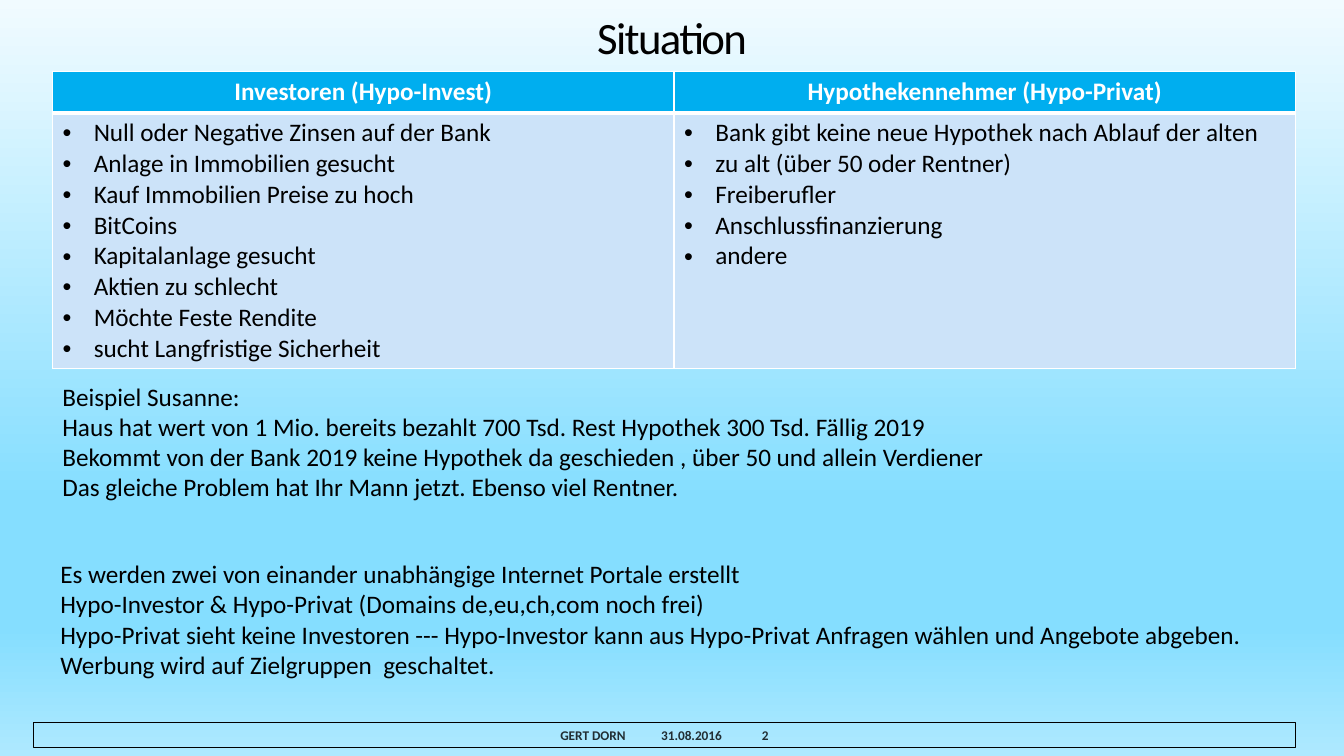
from copy import deepcopy

from lxml.etree import SubElement
from pptx import Presentation
from pptx.dml.color import RGBColor
from pptx.enum.shapes import MSO_SHAPE as Preset
from pptx.enum.text import MSO_ANCHOR as Anchor, PP_ALIGN as Align
from pptx.oxml import parse_xml
from pptx.oxml.ns import nsdecls, qn
from pptx.util import Inches, Pt

COLORS = {
    "text": "000000", "header": "00AEEF", "body": "CCE3F9", "white": "FFFFFF",
    "sky_top": "F1FBFF", "sky": "85DEFF", "sky_end": "AEE9FF",
}
SKY_STOPS = [(0, "sky_top"), (0.66, "sky"), (0.83, "sky"), (1, "sky_end")]
BULLET_INDENT = Inches(0.31)


def rgb(name):
    """Return the palette colour of that name."""
    return RGBColor.from_string(COLORS[name])


class Deck:
    """Holds the style and the current slide."""

    font = {"name": "Calibri", "size": Pt(18), "bold": False}

    def __init__(self, slide):
        """Remember the slide to draw on."""
        self.slide = slide

    def background(self, stops):
        """Fill the background with a gradient running downwards."""
        fill = self.slide.background.fill
        fill.gradient()
        fill.gradient_angle = 270
        stop_list = self.slide.element.find(".//" + qn("a:gsLst"))
        for _ in range(len(stops) - len(stop_list)):
            stop_list.append(deepcopy(stop_list[0]))
        for stop, (position, color) in zip(fill.gradient_stops, stops):
            stop.position = position
            stop.color.rgb = rgb(color)

    def paragraphs(self, frame, lines, color="text", layout=None, **font):
        """Set one paragraph per line and return the paragraphs."""
        frame.word_wrap = True
        for index, line in enumerate(lines):
            paragraph = frame.paragraphs[0] if index == 0 else frame.add_paragraph()
            for key, value in (layout or {}).items():
                setattr(paragraph, key, value)
            run = paragraph.add_run()
            run.text = line
            for key, value in {**self.font, **font}.items():
                setattr(run.font, key, value)
            run.font.color.rgb = rgb(color)
        return frame.paragraphs

    def text(self, box, lines, anchor=Anchor.TOP, **style):
        """Add a text box and return its paragraphs."""
        frame = self.slide.shapes.add_textbox(*map(Inches, box)).text_frame
        frame.vertical_anchor = anchor
        return self.paragraphs(frame, lines, **style)

    def frame(self, box, line, **style):
        """Add an outlined rectangle with one line of text."""
        shape = self.slide.shapes.add_shape(Preset.RECTANGLE, *map(Inches, box))
        shape.shadow.inherit = False
        shape.fill.background()
        shape.line.color.rgb = rgb("text")
        shape.line.width = Pt(0.75)
        shape.text_frame.vertical_anchor = Anchor.MIDDLE
        return self.paragraphs(shape.text_frame, [line], **style)

    def cell(self, cell, fill, borders):
        """Fill a cell and draw its white borders, given in points."""
        cell.fill.solid()
        cell.fill.fore_color.rgb = rgb(fill)
        for index, (side, width) in enumerate(borders.items()):
            cell._tc.tcPr.insert(index, parse_xml(
                f'<a:ln{side} {nsdecls("a")} w="{Pt(width)}"><a:solidFill>'
                f'<a:srgbClr val="{COLORS["white"]}"/></a:solidFill></a:ln{side}>'))

    def table(self, box, row_heights, columns):
        """Add a table with a heading and a bulleted list per column."""
        table = self.slide.shapes.add_table(
            len(row_heights), len(columns), *map(Inches, box)).table
        for row, height in zip(table.rows, row_heights):
            row.height = Inches(height)
        for index, (heading, points) in enumerate(columns.items()):
            header, body = table.cell(0, index), table.cell(1, index)
            self.cell(header, "header", {"L": 1, "R": 1, "T": 1, "B": 3})
            self.paragraphs(header.text_frame, [heading], "white",
                            {"alignment": Align.CENTER}, bold=True)
            self.cell(body, "body", {"L": 1, "R": 1, "T": 3, "B": 1})
            for paragraph in self.paragraphs(body.text_frame, points):
                bullet(paragraph)


def bullet(paragraph):
    """Give a paragraph a round bullet with a hanging indent."""
    properties = paragraph._p.get_or_add_pPr()
    properties.set("marL", str(BULLET_INDENT))
    properties.set("indent", str(-BULLET_INDENT))
    SubElement(properties, qn("a:buFont")).set("typeface", "Arial")
    SubElement(properties, qn("a:buChar")).set("char", "•")


GROUPS = {
    "Investoren (Hypo-Invest)": [
        "Null oder Negative Zinsen auf der Bank",
        "Anlage in Immobilien gesucht",
        "Kauf Immobilien Preise zu hoch",
        "BitCoins",
        "Kapitalanlage gesucht",
        "Aktien zu schlecht",
        "Möchte Feste Rendite",
        "sucht Langfristige Sicherheit",
    ],
    "Hypothekennehmer (Hypo-Privat)": [
        "Bank gibt keine neue Hypothek nach Ablauf der alten",
        "zu alt (über 50 oder Rentner)",
        "Freiberufler",
        "Anschlussfinanzierung",
        "andere",
    ],
}
EXAMPLE = [
    "Beispiel Susanne:",
    "Haus hat wert von 1 Mio. bereits bezahlt 700 Tsd. Rest Hypothek 300 Tsd. Fällig 2019",
    "Bekommt von der Bank 2019 keine Hypothek da geschieden , über 50 und allein Verdiener",
    "Das gleiche Problem hat Ihr Mann jetzt. Ebenso viel Rentner.",
]
PORTALS = [
    "Es werden zwei von einander unabhängige Internet Portale erstellt",
    "Hypo-Investor & Hypo-Privat (Domains de,eu,ch,com noch frei)",
    "Hypo-Privat sieht keine Investoren --- Hypo-Investor kann aus Hypo-Privat "
    "Anfragen wählen und Angebote abgeben.",
    "Werbung wird auf Zielgruppen  geschaltet.",
]

presentation = Presentation()
presentation.slide_width = Inches(13.33)
presentation.slide_height = Inches(7.5)
deck = Deck(presentation.slides.add_slide(presentation.slide_layouts[6]))

deck.background(SKY_STOPS)
title = deck.text((0, 0.01, 13.33, 0.67), ["Situation"], Anchor.BOTTOM,
                  layout={"alignment": Align.CENTER, "line_spacing": 0.85},
                  size=Pt(32))
title[0].runs[0].font._element.set("spc", "-120")

footer = deck.frame((0.33, 7.17, 12.52, 0.25), "GERT DORN\t31.08.2016\t2",
                    layout={"alignment": Align.CENTER}, size=Pt(9.5), bold=True)
footer_color = footer[0].runs[0].font._element.find(".//" + qn("a:srgbClr"))
SubElement(footer_color, qn("a:alpha")).set("val", "80000")

deck.table((0.52, 0.71, 12.33, 2.95), (0.41, 2.54), GROUPS)
deck.text((0.52, 3.73, 12.33, 1.62), EXAMPLE)
deck.text((0.5, 5.49, 12.33, 1.31), PORTALS)

presentation.save("out.pptx")
